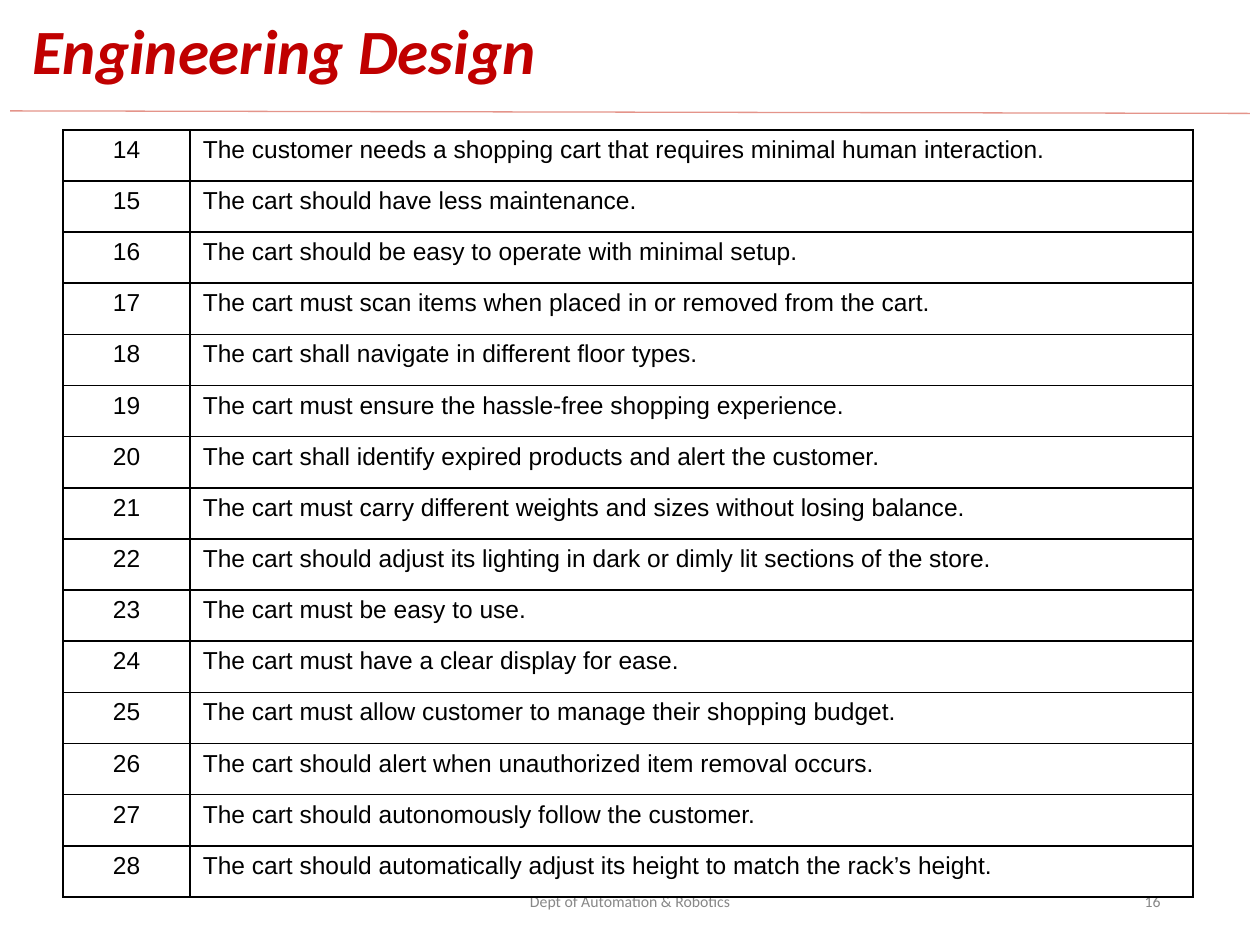
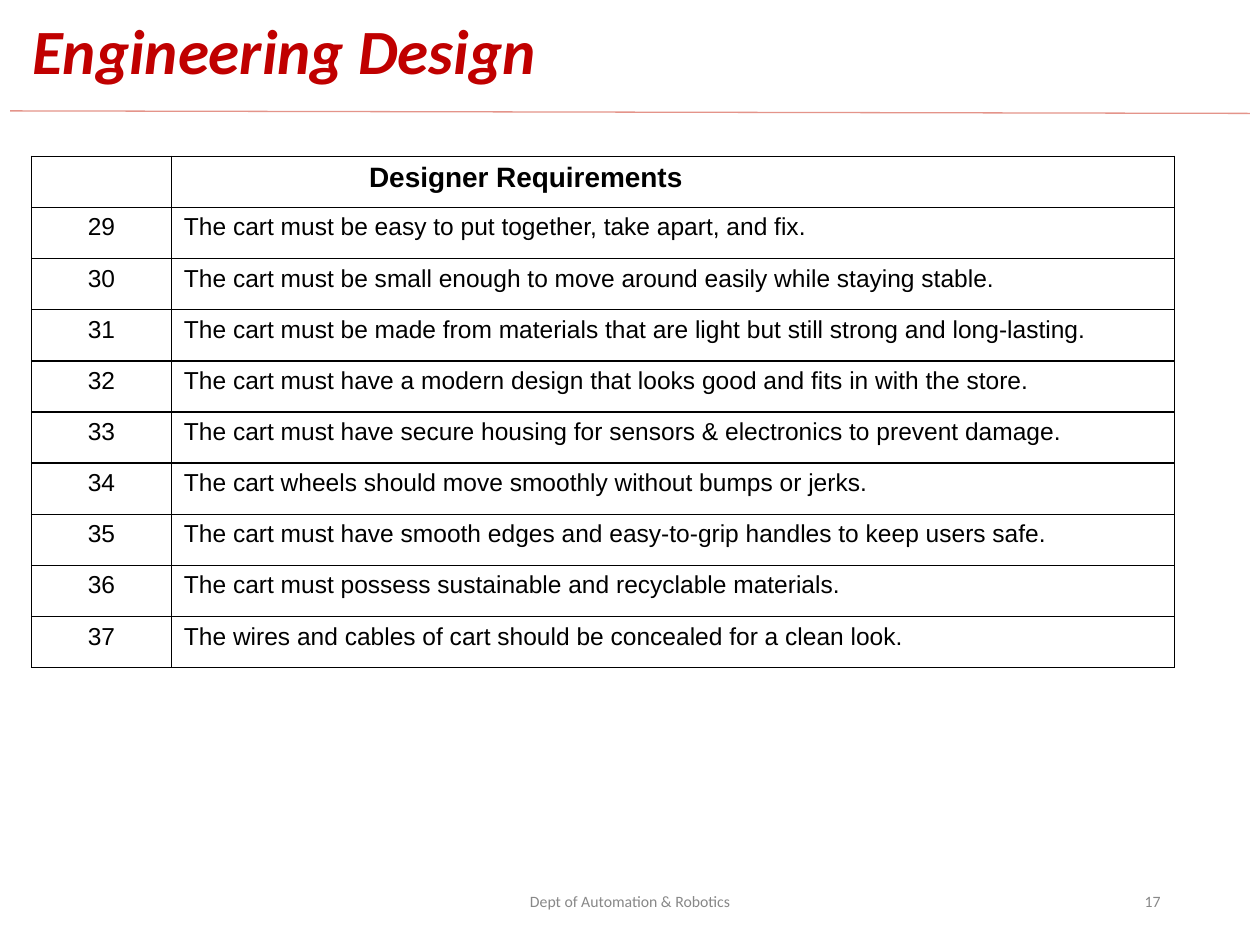
from dataclasses import dataclass

from lxml import etree
from pptx import Presentation
from pptx import util as u
from pptx.dml.color import RGBColor
from pptx.enum import shapes, text
from pptx.oxml import ns

GRID_COLS, GRID_ROWS = 100, 75


@dataclass(frozen=True)
class Theme:
    red: str = "C00000"
    rule: str = "E4948A"
    grey: str = "888888"
    ink: str = "000000"
    heading_font: str = "Calibri"
    table_font: str = "Arial"
    title_size: int = 36
    header_size: int = 16
    body_size: int = 14
    footer_size: int = 9
    rule_width: float = 0.75
    border_width: float = 1


THEME = Theme()
TITLE = "Engineering Design"
DEPARTMENT = "Dept of Automation & Robotics"
LEFT, CENTER, RIGHT = text.PP_ALIGN.LEFT, text.PP_ALIGN.CENTER, text.PP_ALIGN.RIGHT

TITLE_STYLE = dict(name=THEME.heading_font, size=u.Pt(THEME.title_size),
                   bold=True, italic=True)
FOOTER_STYLE = dict(name=THEME.heading_font, size=u.Pt(THEME.footer_size))
BODY_STYLE = dict(name=THEME.table_font, size=u.Pt(THEME.body_size), bold=False)
HEADER_STYLE = dict(name=THEME.table_font, size=u.Pt(THEME.header_size), bold=True)

CUSTOMER_NEEDS = [
    "The customer needs a shopping cart that requires minimal human interaction.",
    "The cart should have less maintenance.",
    "The cart should be easy to operate with minimal setup.",
    "The cart must scan items when placed in or removed from the cart.",
    "The cart shall navigate in different floor types.",
    "The cart must ensure the hassle-free shopping experience.",
    "The cart shall identify expired products and alert the customer.",
    "The cart must carry different weights and sizes without losing balance.",
    "The cart should adjust its lighting in dark or dimly lit sections of the store.",
    "The cart must be easy to use.",
    "The cart must have a clear display for ease.",
    "The cart must allow customer to manage their shopping budget.",
    "The cart should alert when unauthorized item removal occurs.",
    "The cart should autonomously follow the customer.",
    "The cart should automatically adjust its height to match the rack’s height.",
]
DESIGNER_NEEDS = [
    "The cart must be easy to put together, take apart, and fix.",
    "The cart must be small enough to move around easily while staying stable.",
    "The cart must be made from materials that are light but still strong and long-lasting.",
    "The cart must have a modern design that looks good and fits in with the store.",
    "The cart must have secure housing for sensors & electronics to prevent damage.",
    "The cart wheels should move smoothly without bumps or jerks.",
    "The cart must have smooth edges and easy-to-grip handles to keep users safe.",
    "The cart must possess sustainable and recyclable materials.",
    "The wires and cables of cart should be concealed for a clean look.",
]


def place(prs, col, row):
    return (u.Emu(int(prs.slide_width * col / GRID_COLS)),
            u.Emu(int(prs.slide_height * row / GRID_ROWS)))


def write(p, words, color, style, align=LEFT):
    p.alignment = align
    r = p.add_run()
    r.text = words
    r.font.color.rgb = RGBColor.from_string(color)
    for key, value in style.items():
        setattr(r.font, key, value)


def add_label(prs, s, box, words, color, style, align=LEFT):
    col, row, cols, rows = box
    tf = s.shapes.add_textbox(*place(prs, col, row), *place(prs, cols, rows)).text_frame
    tf.word_wrap = True
    tf.vertical_anchor = text.MSO_ANCHOR.MIDDLE
    write(tf.paragraphs[0], words, color, style, align)
    return tf.paragraphs[0]


def add_title_band(prs, s, box):
    col, row, cols, rows = box
    rule = s.shapes.add_connector(
        shapes.MSO_CONNECTOR.STRAIGHT,
        *place(prs, col, row + rows - 0.2), *place(prs, col + cols, row + rows))
    rule.line.color.rgb = RGBColor.from_string(THEME.rule)
    rule.line.width = u.Pt(THEME.rule_width)
    etree.SubElement(rule._element.spPr, ns.qn("a:effectLst"))
    p = add_label(prs, s, (col + 0.8, row + 1.4, 86.2, 5.8), TITLE, THEME.red, TITLE_STYLE)
    p.line_spacing = 0.9


def add_footer(prs, s, box, number):
    col, row, cols, rows = box
    add_label(prs, s, (col, row, 33.8, rows), DEPARTMENT, THEME.grey, FOOTER_STYLE, CENTER)
    add_label(prs, s, (col + cols - 22.5, row, 22.5, rows), str(number),
              THEME.grey, FOOTER_STYLE, RIGHT)


def outline(cell):
    tcPr = cell._tc.get_or_add_tcPr()
    for side in ("lnL", "lnR", "lnT", "lnB"):
        ln = etree.SubElement(tcPr, ns.qn(f"a:{side}"), w=str(u.Pt(THEME.border_width)))
        fill = etree.SubElement(ln, ns.qn("a:solidFill"))
        etree.SubElement(fill, ns.qn("a:srgbClr"), val=THEME.ink)
    cell.fill.background()


def add_requirements(prs, s, box, first, needs, header=None):
    col, row, widths, row_height = box
    lines = [(str(n), need) for n, need in enumerate(needs, first)]
    if header:
        lines.insert(0, ("", header))
    table = s.shapes.add_table(
        len(lines), len(widths), *place(prs, col, row),
        *place(prs, sum(widths), row_height * len(lines))).table
    table.first_row = table.horz_banding = False
    for column, width in zip(table.columns, widths):
        column.width = place(prs, width, 0)[0]
    for i, line in enumerate(lines):
        table.rows[i].height = place(prs, 0, row_height)[1]
        style = HEADER_STYLE if header and i == 0 else BODY_STYLE
        for j, words in enumerate(line):
            cell = table.cell(i, j)
            outline(cell)
            if words:
                write(cell.text_frame.paragraphs[0], words, THEME.ink, style,
                      LEFT if j else CENTER)
    if header:
        table.cell(0, 1).margin_left = place(prs, 15.7, 0)[0]


def add_requirements_slide(prs, number, box, first, needs, header=None):
    s = prs.slides.add_slide(prs.slide_layouts[6])
    add_title_band(prs, s, (0.8, 0, 98.4, 9))
    add_footer(prs, s, (33.1, 69.5, 60, 4), number)
    add_requirements(prs, s, box, first, needs, header)


def main():
    prs = Presentation()
    prs.slide_width, prs.slide_height = u.Inches(10), u.Inches(7.5)
    add_requirements_slide(prs, 16, (5, 10.3, (10.1, 79.6), 4.06), 14, CUSTOMER_NEEDS)
    add_requirements_slide(prs, 17, (2.5, 12.4, (11.1, 79.6), 4.06), 29, DESIGNER_NEEDS,
                           "Designer Requirements")
    prs.save("out.pptx")


if __name__ == "__main__":
    main()
